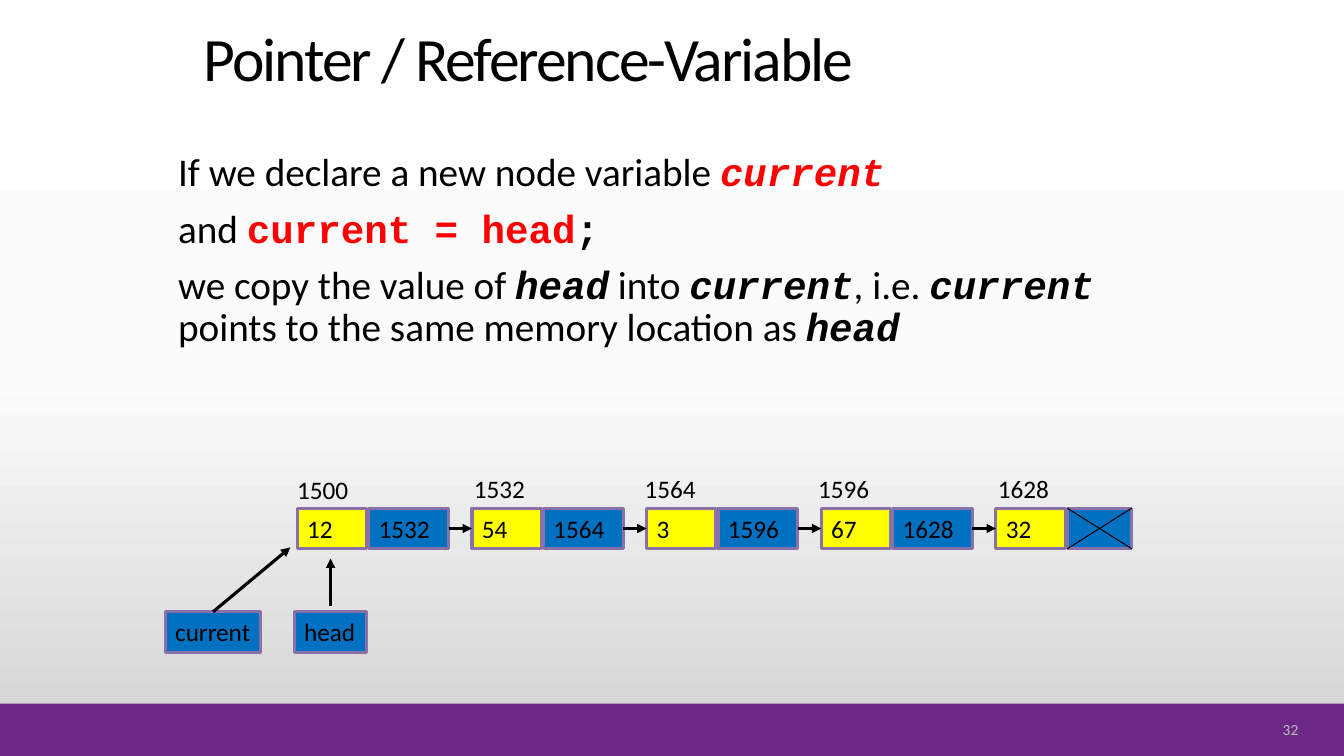
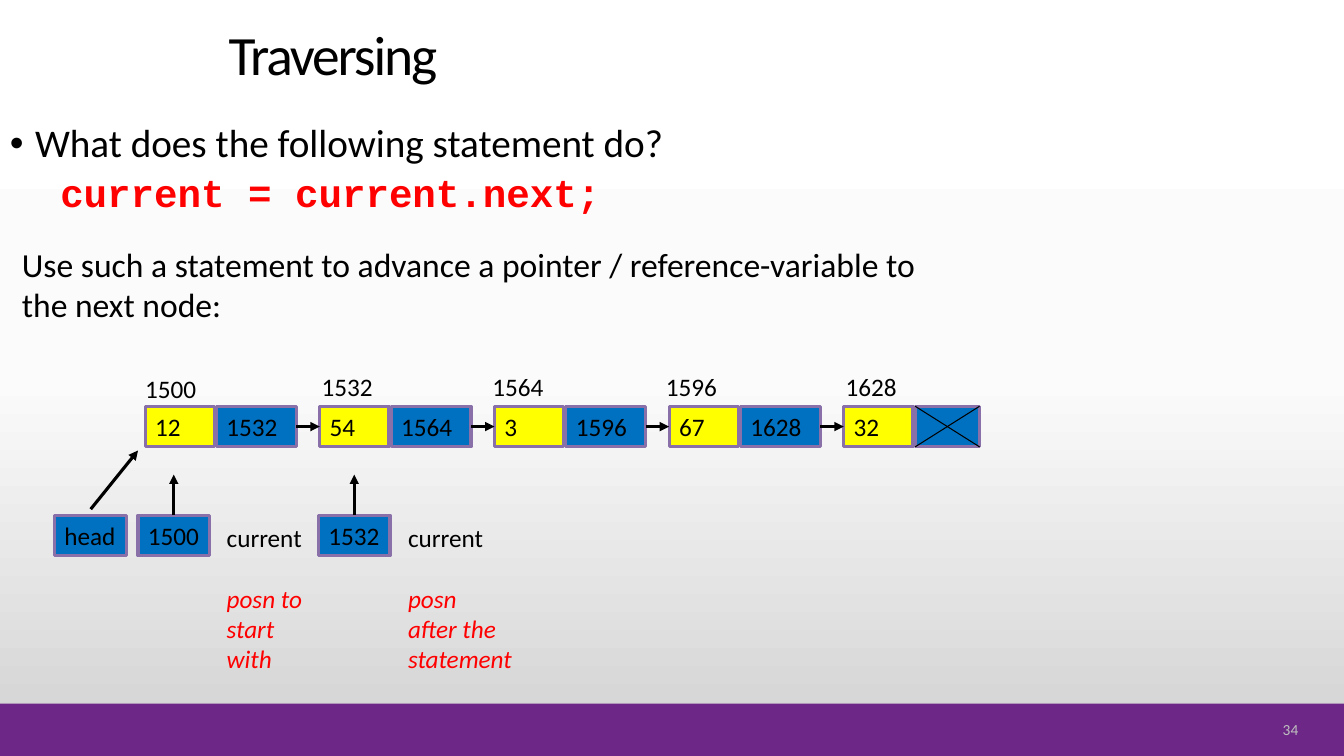
"""Build two slides about walking along a linked list."""
from copy import deepcopy

from lxml import etree
from pptx import Presentation
from pptx.dml.color import RGBColor
from pptx.enum import shapes, text
from pptx.oxml import ns
from pptx.util import Pt

BLACK = RGBColor(0, 0, 0)
RED = RGBColor(0xFF, 0, 0)
YELLOW = RGBColor(0xFF, 0xFF, 0)
BLUE = RGBColor(0, 0x70, 0xC0)
MAUVE = RGBColor(0x89, 0x70, 0xA9)
PURPLE = RGBColor(0x6C, 0x27, 0x87)
GREY = RGBColor(0xBF, 0xBF, 0xBF)
BACKDROP = [
    (0, RGBColor(0xFF, 0xFF, 0xFF)),
    (0.5, RGBColor(0xFB, 0xFB, 0xFB)),
    (1, RGBColor(0xD1, 0xD1, 0xD1)),
]

STYLES = {
    "plain": ("Calibri", BLACK, False, False),
    "note": ("Calibri", RED, False, True),
    "number": ("Calibri", GREY, False, False),
    "name": ("Courier New", BLACK, True, True),
    "red name": ("Courier New", RED, True, True),
    "code": ("Courier New", BLACK, True, False),
    "red code": ("Courier New", RED, True, False),
}

CELL_HEIGHT = 29
DATA_WIDTH = 49.5
LINK_OFFSET = 51
LINK_WIDTH = 57
LAST_LINK_WIDTH = 46
NODE_PITCH = 124.75
NODES = [
    ("1500", "12", -7.2, -27.4),
    ("1532", "54", -5.8, -28.8),
    ("1564", "3", -8.6, -28.8),
    ("1596", "67", -9.4, -28.8),
    ("1628", "32", -5.8, -28.8),
]

PAGES = [
    {
        "title": "Pointer / Reference-Variable",
        "title_size": 44,
        "title_place": (138.2, 9.4, 611.3, 61.9),
        "number": "32",
        "list_at": (212.4, 363),
        "pointer_top": 437,
        "pointers": [
            ("current", 118, 68.4, (207.4, 391), 0),
            ("head", 210.2, 51.8, (236.1, 399), 4.3),
        ],
        "texts": [
            ((120.2, 105.8, 720, 180), 28, 0.9, 10, [
                [("If we declare a new node variable ", "plain"),
                 ("current", "red name")],
                [("and ", "plain"), ("current = head", "red code"),
                 (";", "code")],
                [("we copy the value of ", "plain"), ("head", "name"),
                 (" into ", "plain"), ("current", "name"),
                 (", i.e. ", "plain"), ("current", "name"),
                 (" points to the same memory location as ", "plain"),
                 ("head", "name")],
            ]),
        ],
    },
    {
        "title": "Traversing",
        "title_size": 39.6,
        "title_place": (156.2, 15.1, 648, 51.1),
        "number": "34",
        "list_at": (103.7, 290.2),
        "pointer_top": 368,
        "pointers": [
            ("head", 38.9, 51.8, (98.6, 321.8), 4.3),
            ("1500", 98.6, 51.1, (124.15, 339), 0),
            ("1532", 227.5, 51.1, (253.05, 339), 0),
        ],
        "texts": [
            ((0, 85, 670, 80), 28, 0.9, 5, [
                [("What does the following statement do?", "plain")],
                [("current = current.next;", "red code")],
            ]),
            ((8.6, 170.6, 658, 65.5), 24, 1, 0, [
                [("Use such a statement to advance a pointer / "
                  "reference-variable to the next node:", "plain")],
            ]),
            ((154.8, 369.4, 70.6, 116.6), 18, 1, 0, [
                [("current", "plain")],
                [("posn to start with", "note")],
            ]),
            ((284.4, 369.4, 89.3, 116.6), 18, 1, 0, [
                [("current", "plain")],
                [("posn", "note")],
                [("after the", "note")],
                [("statement", "note")],
            ]),
        ],
    },
]


def add_box(parent, place, paras, size=18, fill=None, spacing=1, gap=0):
    place = [Pt(length) for length in place]
    if fill is None:
        box = parent.add_textbox(*place)
    else:
        box = parent.add_shape(shapes.MSO_SHAPE.RECTANGLE, *place)
        box.shadow.inherit = False
        box.fill.solid()
        box.fill.fore_color.rgb = fill
        box.line.color.rgb = MAUVE
        box.line.width = Pt(2.25)
    frame = box.text_frame
    frame.word_wrap = True
    frame.margin_right = 0
    frame.vertical_anchor = text.MSO_ANCHOR.TOP
    for index, spans in enumerate(paras):
        para = frame.add_paragraph() if index else frame.paragraphs[0]
        para.alignment = text.PP_ALIGN.LEFT
        para.line_spacing = spacing
        para.space_before = Pt(gap if index else 0)
        for wording, style in spans:
            span = para.add_run()
            span.text = wording
            span.font.size = Pt(size)
            (span.font.name, span.font.color.rgb,
             span.font.bold, span.font.italic) = STYLES[style]
    return box


def add_line(parent, start, end, width=2.25, arrow=True):
    line = parent.add_connector(
        shapes.MSO_CONNECTOR.STRAIGHT, *[Pt(length) for length in start + end])
    line.line.color.rgb = BLACK
    line.line.width = Pt(width)
    if arrow:
        etree.SubElement(line.get_or_add_ln(), ns.qn("a:tailEnd"), type="triangle")
    etree.SubElement(line.element.spPr, ns.qn("a:effectLst"))
    return line


deck = Presentation()
deck.slide_width, deck.slide_height = Pt(960), Pt(540)
master = deck.slide_master
backdrop = master.background.fill
backdrop.gradient()
backdrop.gradient_angle = 270
stop_list = master.element.find(".//" + ns.qn("a:gsLst"))
stop_list.append(deepcopy(stop_list[0]))
for stop, (position, colour) in zip(backdrop.gradient_stops, BACKDROP):
    stop.position = position
    stop.color.rgb = colour

pages = [deck.slides.add_slide(deck.slide_layouts[5]) for content in PAGES]
band = add_box(pages[0].shapes, (0, 502.6, 960, 37.4), [], fill=PURPLE)
band.line.fill.background()
master.shapes.element.insert(2, band.element)

for page, content in zip(pages, PAGES):
    title = page.shapes.title
    title.left, title.top, title.width, title.height = [
        Pt(length) for length in content["title_place"]]
    title.text_frame.auto_size = text.MSO_AUTO_SIZE.NONE
    title.text_frame.vertical_anchor = text.MSO_ANCHOR.BOTTOM
    para = title.text_frame.paragraphs[0]
    para.alignment = text.PP_ALIGN.LEFT
    para.line_spacing = 0.9
    span = para.add_run()
    span.text = content["title"]
    span.font.size = Pt(content["title_size"])
    span.font.name = "Calibri"
    span.font.color.rgb = BLACK
    span.font._element.set("spc", "-150")

    boxes = [add_box(page.shapes, place, paras, size, None, spacing, gap)
             for place, size, spacing, gap, paras in content["texts"]]
    if content["title"] == "Traversing":
        question, statement = boxes[0].text_frame.paragraphs
        properties = question._p.get_or_add_pPr()
        properties.set("marL", str(Pt(18)))
        properties.set("indent", str(Pt(-18)))
        etree.SubElement(properties, ns.qn("a:buFont"), typeface="Arial")
        etree.SubElement(properties, ns.qn("a:buChar"), char="•")
        statement._p.get_or_add_pPr().set("marL", str(Pt(36)))
        for caption in boxes[2:]:
            caption.text_frame.paragraphs[1].space_before = Pt(22)

    diagram = page.shapes.add_group_shape().shapes
    list_left, top = content["list_at"]
    previous_link = None
    for index, (address, value, label_dx, label_dy) in enumerate(NODES):
        left = list_left + index * NODE_PITCH
        link_left = left + LINK_OFFSET
        is_last = index == len(NODES) - 1
        link_width = LAST_LINK_WIDTH if is_last else LINK_WIDTH
        link_text = [] if is_last else [[(NODES[index + 1][0], "plain")]]
        data = add_box(diagram, (left, top, DATA_WIDTH, CELL_HEIGHT),
                       [[(value, "plain")]], fill=YELLOW)
        link = add_box(diagram, (link_left, top, link_width, CELL_HEIGHT),
                       link_text, fill=BLUE)
        add_box(diagram, (left + label_dx, top + label_dy, 51.1, CELL_HEIGHT),
                [[(address, "plain")]])
        if previous_link is not None:
            arrow = add_line(diagram, (left, top), (left, top))
            arrow.begin_connect(previous_link, 3)
            arrow.end_connect(data, 1)
        previous_link = link
    right, bottom = link_left + LAST_LINK_WIDTH, top + CELL_HEIGHT
    add_line(diagram, (link_left, top), (right, bottom), 0.75, False)
    add_line(diagram, (right, top), (link_left, bottom), 0.75, False)

    pointer_top = content["pointer_top"]
    for label, left, width, target, lift in content["pointers"]:
        pointer = add_box(page.shapes, (left, pointer_top, width, CELL_HEIGHT),
                          [[(label, "plain")]], fill=BLUE)
        arrow = add_line(page.shapes, (left + width / 2, pointer_top - lift), target)
        if not lift:
            arrow.begin_connect(pointer, 0)

    number = add_box(page.shapes, (880.6, 512.6, 46.8, 16.6),
                     [[(content["number"], "number")]], 11)
    number.text_frame.vertical_anchor = text.MSO_ANCHOR.MIDDLE
    number.text_frame.paragraphs[0].alignment = text.PP_ALIGN.RIGHT

deck.save("out.pptx")
